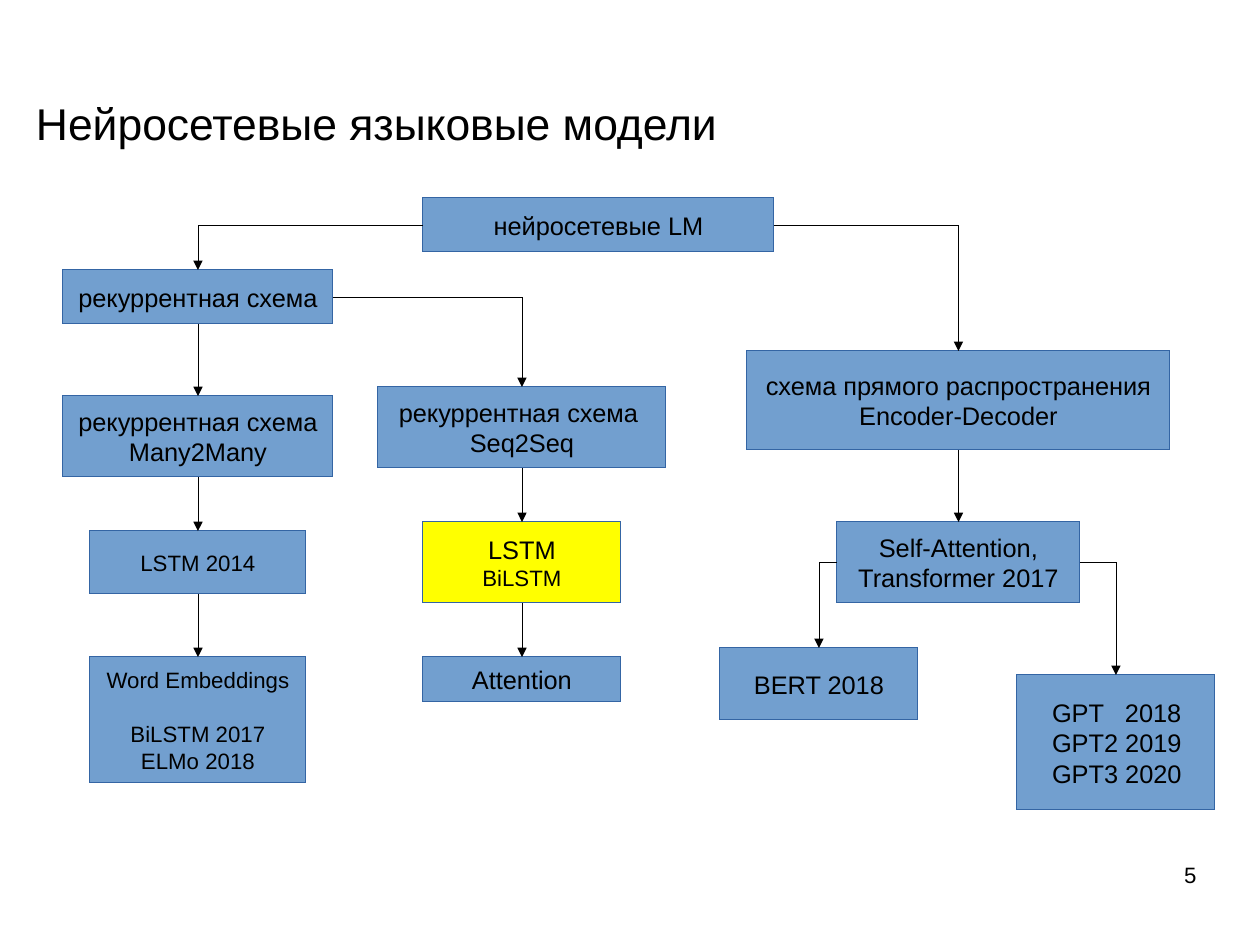
"""Build the slide with the tree of neural language models."""
from lxml import etree
from pptx import Presentation
from pptx.dml.color import RGBColor
from pptx.enum.shapes import MSO_CONNECTOR, MSO_SHAPE
from pptx.enum.text import MSO_ANCHOR, MSO_AUTO_SIZE, PP_ALIGN
from pptx.oxml.ns import qn
from pptx.util import Pt

EMU_PER_PX = 3600
FONT = "Arial"
BLACK, BLUE, YELLOW, OUTLINE = "000000", "729FCF", "FFFF00", "3465A4"
RECT = MSO_SHAPE.RECTANGLE
STRAIGHT, ELBOW = MSO_CONNECTOR.STRAIGHT, MSO_CONNECTOR.ELBOW
MIDDLE, TOP_ANCHOR = MSO_ANCHOR.MIDDLE, MSO_ANCHOR.TOP
LEFT, CENTER, RIGHT = PP_ALIGN.LEFT, PP_ALIGN.CENTER, PP_ALIGN.RIGHT
NO_AUTOFIT = MSO_AUTO_SIZE.NONE
TOP_SITE, LEFT_SITE, BOTTOM_SITE, RIGHT_SITE = range(4)

RECURRENT_X, SEQ2SEQ_X, FORWARD_X = 440, 1160, 2130

NODES = {
    "root": (1330, 440, 780, 120, ["нейросетевые LM"], 16),
    "recurrent": (RECURRENT_X, 600, 600, 120, ["рекуррентная схема"], 16),
    "forward": (FORWARD_X, 780, 940, 220,
                ["схема прямого распространения", "Encoder-Decoder"], 16),
    "transformer": (FORWARD_X, 1160, 540, 180,
                    ["Self-Attention,", "Transformer 2017"], 16),
    "bert": (1820, 1440, 440, 160, ["BERT 2018"], 16),
    "gpt": (2480, 1500, 440, 300, ["GPT\t2018", "GPT2 2019", "GPT3 2020"], 16),
    "lstm": (SEQ2SEQ_X, 1160, 440, 180, ["LSTM", "BiLSTM"], 16),
    "lstm 2014": (RECURRENT_X, 1180, 480, 140, ["LSTM 2014"], 14),
    "seq2seq": (SEQ2SEQ_X, 860, 640, 180, ["рекуррентная схема ", "Seq2Seq"], 16),
    "attention": (SEQ2SEQ_X, 1460, 440, 100, ["Attention"], 16),
    "embeddings": (RECURRENT_X, 1460, 480, 280,
                   ["Word Embeddings", "BiLSTM 2017", "ELMo 2018"], 14),
    "many2many": (RECURRENT_X, 880, 600, 180,
                  ["рекуррентная схема", "Many2Many"], 16),
}

DOWN_ARROWS = [
    ("recurrent", "many2many"), ("many2many", "lstm 2014"),
    ("lstm 2014", "embeddings"), ("seq2seq", "lstm"),
    ("lstm", "attention"), ("forward", "transformer"),
]

SIDE_ARROWS = [
    ("root", LEFT_SITE, "recurrent"), ("root", RIGHT_SITE, "forward"),
    ("recurrent", RIGHT_SITE, "seq2seq"),
    ("transformer", LEFT_SITE, "bert"), ("transformer", RIGHT_SITE, "gpt"),
]


def px(length):
    """Turn px into EMU."""
    return int(length * EMU_PER_PX)


def color(hex_code):
    """Turn a hex string into a colour."""
    return RGBColor.from_string(hex_code)


def write(frame, lines, size, align, anchor=MIDDLE, insets=(0, 0)):
    """Write the lines as paragraphs of one run each."""
    frame.auto_size = NO_AUTOFIT
    frame.vertical_anchor = anchor
    frame.margin_left = frame.margin_right = px(insets[0])
    frame.margin_top = frame.margin_bottom = px(insets[1])
    for index, line in enumerate(lines):
        paragraph = frame.add_paragraph() if index else frame.paragraphs[0]
        paragraph.alignment = align
        run = paragraph.add_run()
        run.text = line
        run.font.name = FONT
        run.font.size = Pt(size)
        run.font.color.rgb = color(BLACK)


def place(shape, left, top, width, height):
    """Move and size a shape."""
    shape.left, shape.top = px(left), px(top)
    shape.width, shape.height = px(width), px(height)


def draw_hairline(shape, hex_code):
    """Give a shape the thinnest line and return the line element."""
    shape.line.color.rgb = color(hex_code)
    hairline = shape._element.spPr.find(qn("a:ln"))
    hairline.set("w", "0")
    return hairline


def add_node(slide, center_x, top, width, height, lines, size):
    """Add a labelled box centred on a column."""
    node = slide.shapes.add_shape(
        RECT, px(center_x - width / 2), px(top), px(width), px(height))
    node.shadow.inherit = False
    node.fill.solid()
    node.fill.fore_color.rgb = color(BLUE)
    draw_hairline(node, OUTLINE)
    node.text_frame.word_wrap = False
    write(node.text_frame, lines, size, CENTER, insets=(25, 13))
    return node


def add_arrow(slide, source, site, target):
    """Join a side of one box to the top of another with an arrow."""
    kind = STRAIGHT if site == BOTTOM_SITE else ELBOW
    arrow = slide.shapes.add_connector(kind, 0, 0, 0, 0)
    arrow.begin_connect(source, site)
    arrow.end_connect(target, TOP_SITE)
    hairline = draw_hairline(arrow, BLACK)
    etree.SubElement(hairline, qn("a:tailEnd"), type="triangle")
    properties = arrow._element.spPr
    if kind == ELBOW:
        properties.find(qn("a:prstGeom")).set("prst", "bentConnector2")
    etree.SubElement(properties, qn("a:effectLst"))


def align_years(frame):
    """Set the model names flush left with the years at a tab stop."""
    frame.word_wrap = True
    frame.margin_left = px(78)
    for paragraph in frame.paragraphs:
        paragraph.alignment = LEFT
        tabs = etree.SubElement(paragraph._p.get_or_add_pPr(), qn("a:tabLst"))
        etree.SubElement(tabs, qn("a:tab"), pos=str(px(162)), algn="l")


def main():
    """Build and save the slide."""
    deck = Presentation()
    deck.slide_width, deck.slide_height = px(2800), px(2100)
    slide = deck.slides.add_slide(deck.slide_layouts[5])

    title = slide.shapes.title
    place(title, 80, 206, 2020, 135)
    write(title.text_frame, ["Нейросетевые языковые модели"], 28, LEFT)

    nodes = {key: add_node(slide, *node) for key, node in NODES.items()}
    lstm = nodes["lstm"]
    lstm.fill.fore_color.rgb = color(YELLOW)
    lstm.text_frame.paragraphs[1].runs[0].font.size = Pt(14)
    nodes["embeddings"].text_frame.paragraphs[1].space_before = Pt(17)
    align_years(nodes["gpt"].text_frame)

    for source, target in DOWN_ARROWS:
        add_arrow(slide, nodes[source], BOTTOM_SITE, nodes[target])
    for source, site, target in SIDE_ARROWS:
        add_arrow(slide, nodes[source], site, nodes[target])

    page_number = slide.shapes.add_textbox(
        px(2007), px(1913), px(652), px(145))
    page_number.text_frame.word_wrap = True
    write(page_number.text_frame, ["5"], 14, RIGHT, TOP_ANCHOR)

    deck.save("out.pptx")


if __name__ == "__main__":
    main()
